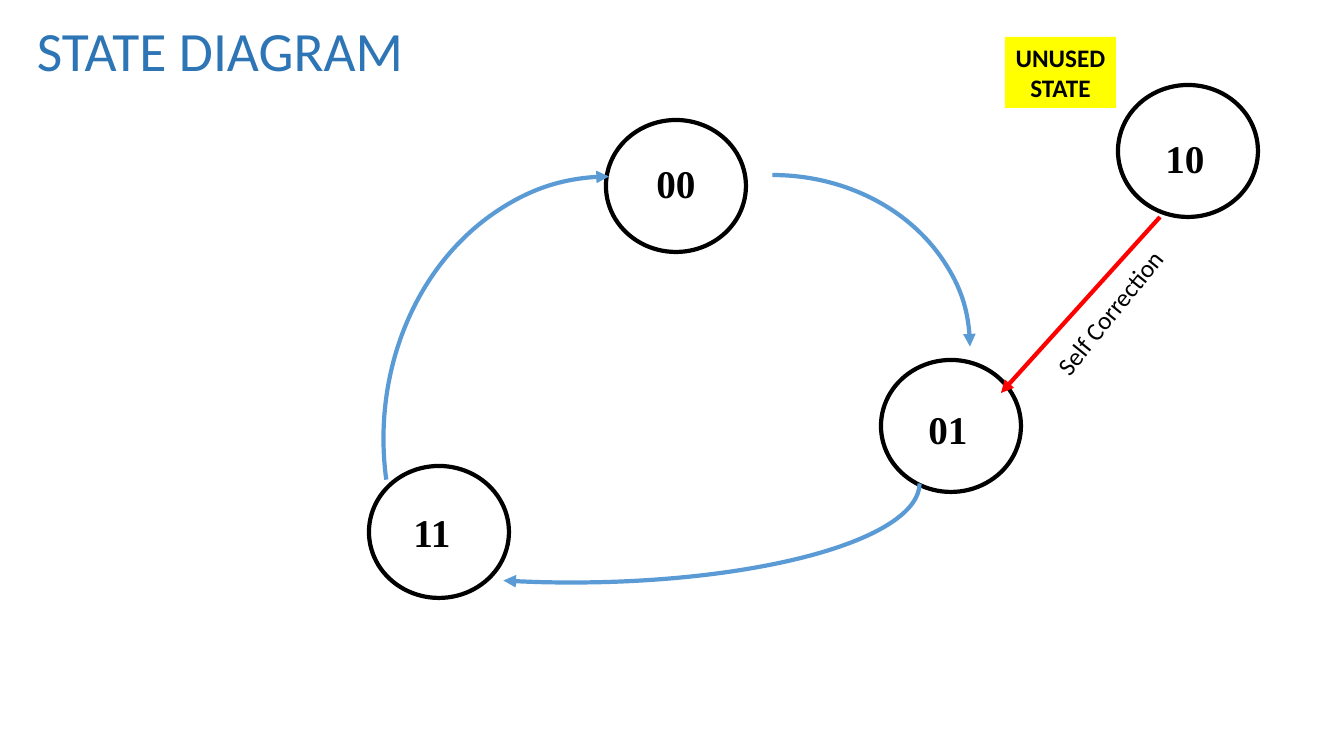
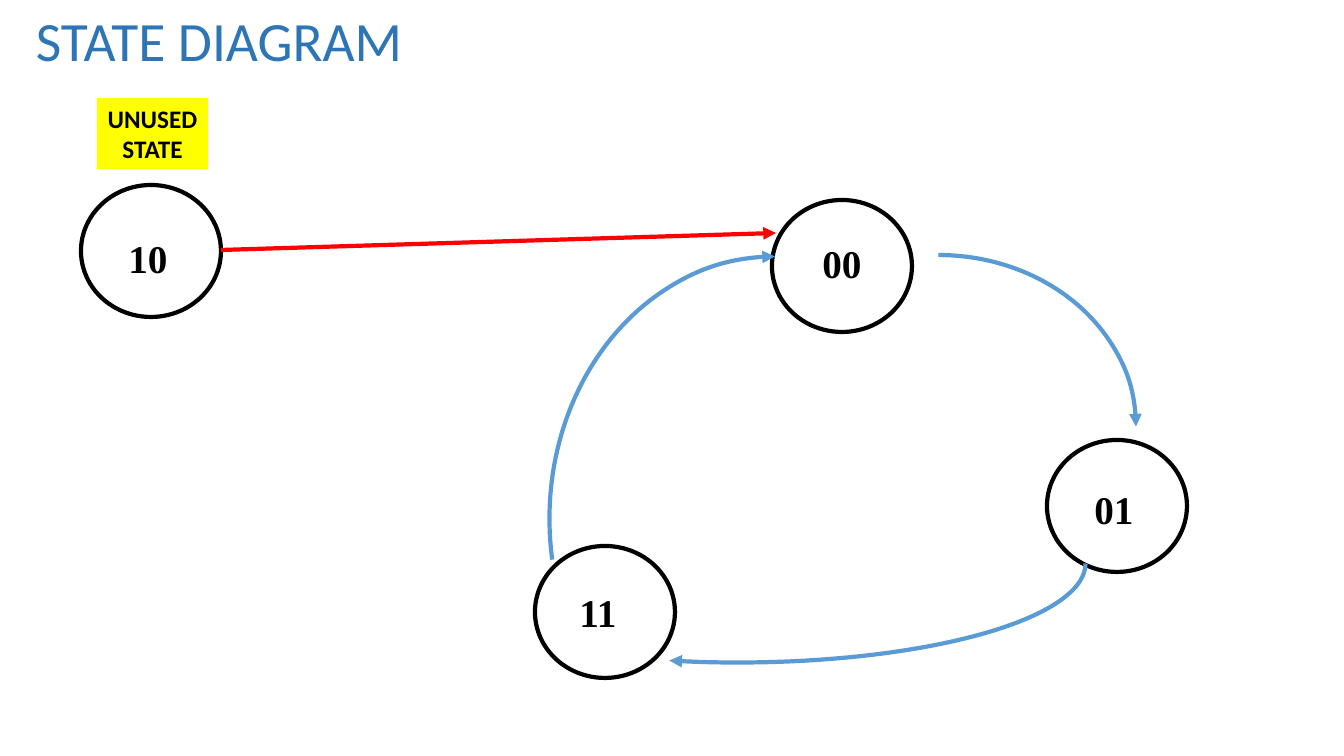
from lxml.etree import SubElement
from pptx import Presentation
from pptx.dml.color import RGBColor
from pptx.enum.shapes import MSO_CONNECTOR as Connector, MSO_SHAPE as Shape
from pptx.enum.text import MSO_ANCHOR as Anchor, PP_ALIGN as Align
from pptx.oxml.ns import qn
from pptx.util import Emu, Pt

COLORS = {
    "title": "2E75B6",
    "ink": "000000",
    "transition": "5B9BD5",
    "correction": "FF0000",
    "highlight": "FFFF00",
}
BODY_FONT = "Calibri"
STATE_FONT = "Times New Roman"
EMU_PER_PX = 914400 / 100.8
STATE_SIZE = (140, 132)
LINE_WIDTH = Pt(3)

CYCLE_STATES = [
    ("00", (606, 120), (0, -3)),
    ("01", (881, 360), (-3, 3)),
    ("11", (369, 466), (-7, 0)),
]
CYCLE_ARCS = [
    ((575, 175), (395, 343), 0, (162, 0)),
    ((473, 136), (198, 695), 90, (162, 21.16)),
    ((347, 213), (524, 451), 270, (155.72, 0)),
]


def px(value):
    return Emu(round(value * EMU_PER_PX))


def frame(position, size):
    return [px(value) for value in (*position, *size)]


def color(name):
    return RGBColor.from_string(COLORS[name])


def style_line(item, name):
    item.line.color.rgb = color(name)
    item.line.width = LINE_WIDTH


def add_arrowhead(item):
    outline = item._element.spPr.find(qn("a:ln"))
    SubElement(outline, qn("a:tailEnd"), type="triangle")


def write(box, lines, size, name="ink", font=BODY_FONT, bold=False, align=Align.CENTER):
    text = box.text_frame
    text.text = "\n".join(lines)
    for para in text.paragraphs:
        para.alignment = align
        para.font.name = font
        para.font.size = Pt(size)
        para.font.bold = bold
        para.font.color.rgb = color(name)


def add_title(page, position):
    box = page.shapes.add_textbox(*frame(position, (1159, 66)))
    box.text_frame.word_wrap = True
    box.text_frame.margin_top = px(2)
    write(box, ["STATE DIAGRAM"], 39.6, "title", align=Align.LEFT)
    box.text_frame.paragraphs[0].line_spacing = 0.9


def add_state(page, code, position, nudge):
    state = page.shapes.add_shape(Shape.OVAL, *frame(position, STATE_SIZE))
    state.shadow.inherit = False
    state.fill.background()
    style_line(state, "ink")
    text = state.text_frame
    text.vertical_anchor = Anchor.MIDDLE
    right, down = nudge
    text.margin_left, text.margin_right = px(10 + right), px(10 - right)
    text.margin_top, text.margin_bottom = px(10 + down), px(10 - down)
    write(state, [code], 28, font=STATE_FONT, bold=True)


def add_arc(page, position, size, rotation, angles):
    arc = page.shapes.add_shape(Shape.ARC, *frame(position, size))
    arc.shadow.inherit = False
    arc.fill.background()
    arc.rotation = rotation
    for index, angle in enumerate(angles):
        arc.adjustments[index] = angle
    style_line(arc, "transition")
    add_arrowhead(arc)


def add_cycle(page, shift):
    def moved(position):
        return tuple(start + step for start, step in zip(position, shift))

    for code, position, nudge in CYCLE_STATES:
        add_state(page, code, moved(position), nudge)
    for position, *shape in CYCLE_ARCS:
        add_arc(page, moved(position), *shape)


def add_unused_state(page, position, tag_position):
    add_state(page, "10", position, (-3, 7))
    tag = page.shapes.add_shape(Shape.RECTANGLE, *frame(tag_position, (111, 71)))
    tag.shadow.inherit = False
    tag.fill.solid()
    tag.fill.fore_color.rgb = color("highlight")
    tag.line.fill.background()
    tag.text_frame.word_wrap = False
    tag.text_frame.vertical_anchor = Anchor.MIDDLE
    write(tag, ["UNUSED", "STATE"], 18, bold=True)


def add_correction(page, start, end):
    arrow = page.shapes.add_connector(
        Connector.STRAIGHT, *[px(value) for value in (*start, *end)]
    )
    style_line(arrow, "correction")
    add_arrowhead(arrow)
    SubElement(arrow._element.spPr, qn("a:effectLst"))


def add_correction_label(page):
    label = page.shapes.add_textbox(*frame((1023, 292), (173, 40)))
    label.rotation = 309
    label.text_frame.word_wrap = False
    write(label, ["Self Correction"], 18)


def add_diagram(deck, title, shift, unused, tag, start, end):
    page = deck.slides.add_slide(deck.slide_layouts[6])
    add_title(page, title)
    add_cycle(page, shift)
    add_unused_state(page, unused, tag)
    add_correction(page, start, end)
    return page


def main():
    deck = Presentation()
    deck.slide_width, deck.slide_height = px(1344), px(756)
    page = add_diagram(
        deck, title=(27, 22), shift=(0, 0), unused=(1118, 85),
        tag=(1005, 37), start=(1160, 217), end=(1001, 393),
    )
    add_correction_label(page)
    add_diagram(
        deck, title=(26, 12), shift=(166, 80), unused=(81, 185),
        tag=(97, 98), start=(221, 250), end=(776, 233),
    )
    deck.save("out.pptx")


if __name__ == "__main__":
    main()
